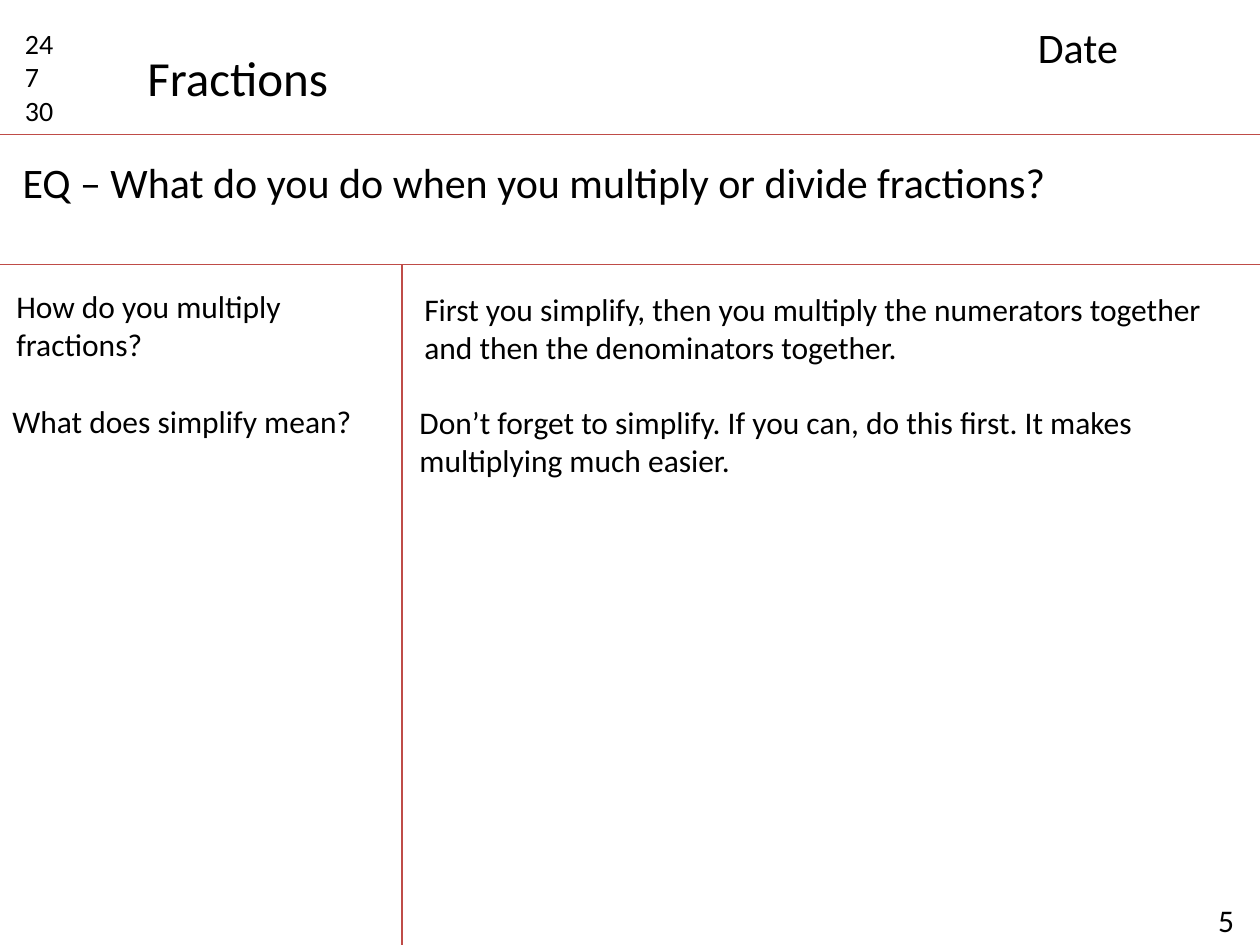
from dataclasses import dataclass

import lxml.etree
import pptx
import pptx.dml.color
import pptx.enum.shapes
import pptx.enum.text
import pptx.oxml.ns
import pptx.util

COLORS = {"text": "000000", "rule": "BF4C48", "background": "FFFFFF"}
FONT = "Calibri"
SLIDE_WIDTH, SLIDE_HEIGHT = 720, 540
TOPIC_RULE, QUESTION_RULE = 77, 151.2
MARGIN_RULE = 229.7


@dataclass
class Note:
    text: str
    left: float
    top: float
    width: float
    height: float
    size: float
    wrap: bool = True


@dataclass
class Rule:
    start_x: float
    start_y: float
    end_x: float
    end_y: float


TITLE = Note("Fractions", 77, 23.8, 118.8, 41.2, 28, wrap=False)
NOTES = [
    Note("5", 689, 511.2, 43.2, 29, 18),
    Note("24\n7\n30", 7.2, 11.5, 45.4, 65.5, 16),
    Note("Date", 586, 8.6, 124.6, 36, 24),
    Note("EQ – What do you do when you multiply or divide fractions?",
         5.8, 85.7, 640.8, 36, 24),
    Note("How do you multiply fractions?", 2.2, 160.6, 216.7, 51, 18),
    Note("First you simplify, then you multiply the numerators together "
         "and then the denominators together.", 235.4, 162, 475.2, 51, 18),
    Note("What does simplify mean?", 0, 226, 250.6, 29, 18),
    Note("Don’t forget to simplify. If you can, do this first. It makes "
         "multiplying much easier.", 232.6, 226.8, 478, 51, 18),
]
RULES = [
    Rule(0, TOPIC_RULE, SLIDE_WIDTH, TOPIC_RULE),
    Rule(0, QUESTION_RULE, SLIDE_WIDTH, QUESTION_RULE),
    Rule(MARGIN_RULE, QUESTION_RULE, MARGIN_RULE, 553.7),
]


def rgb(name: str) -> pptx.dml.color.RGBColor:
    return pptx.dml.color.RGBColor.from_string(COLORS[name])


def write_note(shape, note: Note) -> None:
    shape.left, shape.top = pptx.util.Pt(note.left), pptx.util.Pt(note.top)
    shape.width, shape.height = pptx.util.Pt(note.width), pptx.util.Pt(note.height)
    frame = shape.text_frame
    frame.text = note.text
    frame.word_wrap = note.wrap
    frame.auto_size = pptx.enum.text.MSO_AUTO_SIZE.SHAPE_TO_FIT_TEXT
    frame.vertical_anchor = pptx.enum.text.MSO_ANCHOR.TOP
    for paragraph in frame.paragraphs:
        paragraph.alignment = pptx.enum.text.PP_ALIGN.LEFT
        paragraph.font.name = FONT
        paragraph.font.size = pptx.util.Pt(note.size)
        paragraph.font.color.rgb = rgb("text")


def add_note(slide, note: Note) -> None:
    write_note(slide.shapes.add_textbox(0, 0, 0, 0), note)


def add_rule(slide, rule: Rule) -> None:
    connector = slide.shapes.add_connector(
        pptx.enum.shapes.MSO_CONNECTOR.STRAIGHT,
        pptx.util.Pt(rule.start_x), pptx.util.Pt(rule.start_y),
        pptx.util.Pt(rule.end_x), pptx.util.Pt(rule.end_y))
    connector.line.color.rgb = rgb("rule")
    connector.line.width = pptx.util.Pt(0.75)
    properties = connector.element.find(pptx.oxml.ns.qn("p:spPr"))
    lxml.etree.SubElement(properties, pptx.oxml.ns.qn("a:effectLst"))


def main() -> None:
    presentation = pptx.Presentation()
    presentation.slide_width = pptx.util.Pt(SLIDE_WIDTH)
    presentation.slide_height = pptx.util.Pt(SLIDE_HEIGHT)
    slide = presentation.slides.add_slide(presentation.slide_layouts[5])
    slide.background.fill.solid()
    slide.background.fill.fore_color.rgb = rgb("background")
    write_note(slide.shapes.title, TITLE)
    for rule in RULES:
        add_rule(slide, rule)
    for note in NOTES:
        add_note(slide, note)
    presentation.save("out.pptx")


if __name__ == "__main__":
    main()
